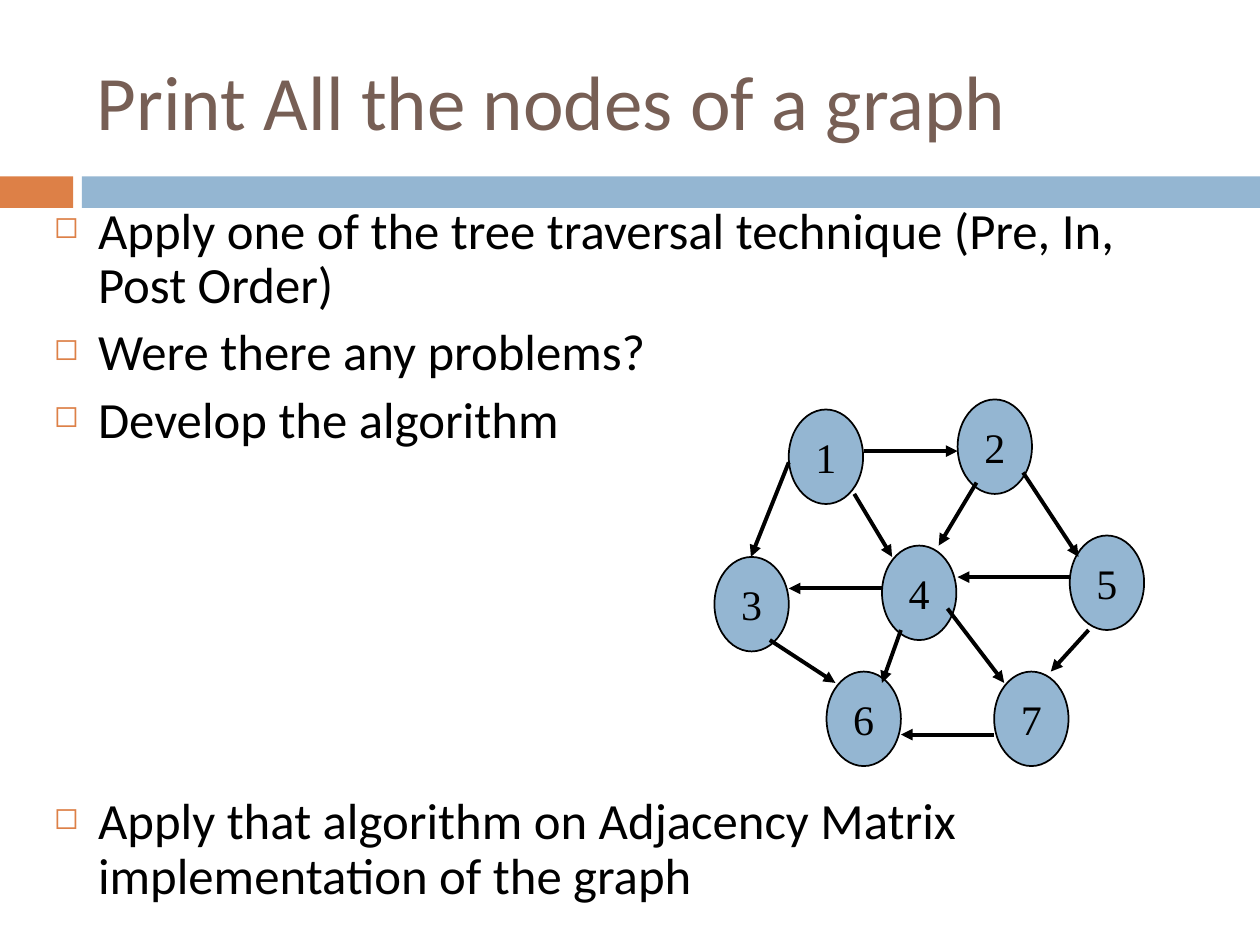
import pptx
import pptx.util
import pptx.dml.color
import pptx.enum.shapes
import pptx.enum.text
import pptx.oxml
import pptx.oxml.ns
import lxml.etree

Inches = pptx.util.Inches
Pt = pptx.util.Pt
COLORS = {"orange": "DD8047", "blue": "94B6D2", "brown": "775F55", "black": "000000"}


def color(name):
    return pptx.dml.color.RGBColor.from_string(COLORS[name])


def add_filled_shape(kind, left, top, width, height, fill):
    shape = slide.shapes.add_shape(kind, Inches(left), Inches(top), Inches(width), Inches(height))
    shape.shadow.inherit = False
    shape.fill.solid()
    shape.fill.fore_color.rgb = color(fill)
    shape.line.fill.background()
    return shape


presentation = pptx.Presentation()
presentation.slide_width = Inches(10)
presentation.slide_height = Inches(7.5)
slide = presentation.slides.add_slide(presentation.slide_layouts[6])

rectangle = pptx.enum.shapes.MSO_SHAPE.RECTANGLE
add_filled_shape(rectangle, 0, 1.4, 0.58, 0.25, "orange")
add_filled_shape(rectangle, 0.65, 1.4, 9.35, 0.25, "blue")

title = slide.shapes.add_textbox(Inches(0.67), Inches(0.25), Inches(8.92), Inches(1.08))
title.text_frame.word_wrap = True
title.text_frame.vertical_anchor = pptx.enum.text.MSO_ANCHOR.MIDDLE
title.text_frame.text = "Print All the nodes of a graph"
title_font = title.text_frame.paragraphs[0].runs[0].font
title_font.name = "Calibri"
title_font.size = Pt(44)
title_font.color.rgb = color("brown")

bullets = [
    ("Apply one of the tree traversal technique (Pre, In, Post Order)", 0),
    ("Were there any problems?", 7),
    ("Develop the algorithm", 7),
    ("Apply that algorithm on Adjacency Matrix implementation of the graph", 198),
]
body = slide.shapes.add_textbox(Inches(0.33), Inches(1.58), Inches(9.34), Inches(5.67))
body.text_frame.word_wrap = True
body.text_frame.text = "\n".join(text for text, space in bullets)
for paragraph, (text, space) in zip(body.text_frame.paragraphs, bullets):
    paragraph.line_spacing = 0.9
    paragraph.space_before = Pt(space)
    properties = paragraph._p.get_or_add_pPr()
    properties.set("marL", str(Inches(0.35)))
    properties.set("indent", str(Inches(-0.35)))
    bullet_color = lxml.etree.SubElement(properties, pptx.oxml.ns.qn("a:buClr"))
    lxml.etree.SubElement(bullet_color, pptx.oxml.ns.qn("a:srgbClr"), val=COLORS["orange"])
    lxml.etree.SubElement(properties, pptx.oxml.ns.qn("a:buSzPct"), val="60000")
    lxml.etree.SubElement(properties, pptx.oxml.ns.qn("a:buChar"), char="◻")
    font = paragraph.runs[0].font
    font.name = "Calibri"
    font.size = Pt(29)
    font.color.rgb = color("black")

nodes = {
    "1": (6.26, 3.25),
    "2": (7.6, 3.17),
    "3": (5.67, 4.42),
    "4": (7, 4.33),
    "5": (8.49, 4.25),
    "6": (6.56, 5.33),
    "7": (7.89, 5.33),
}
for label, (left, top) in nodes.items():
    node = add_filled_shape(pptx.enum.shapes.MSO_SHAPE.OVAL, left, top, 0.59, 0.75, "blue")
    node.line.color.rgb = color("black")
    node.line.width = Pt(1)
    node.text_frame.word_wrap = False
    node.text_frame.vertical_anchor = pptx.enum.text.MSO_ANCHOR.MIDDLE
    node.text_frame.text = label
    paragraph = node.text_frame.paragraphs[0]
    paragraph.alignment = pptx.enum.text.PP_ALIGN.CENTER
    font = paragraph.runs[0].font
    font.name = "Times New Roman"
    font.size = Pt(24)
    font.color.rgb = color("black")

edges = [
    (6.86, 3.58, 7.6, 3.58),
    (6.26, 3.67, 5.96, 4.42),
    (6.78, 3.92, 7.08, 4.42),
    (7.75, 3.83, 7.45, 4.33),
    (8.12, 3.75, 8.56, 4.42),
    (7, 4.67, 6.26, 4.67),
    (8.49, 4.58, 7.6, 4.58),
    (6.11, 5.08, 6.63, 5.42),
    (7.15, 5, 7, 5.42),
    (7.52, 4.83, 7.97, 5.42),
    (8.64, 5, 8.34, 5.33),
    (7.89, 5.83, 7.15, 5.83),
]
for edge in edges:
    arrow = slide.shapes.add_connector(
        pptx.enum.shapes.MSO_CONNECTOR.STRAIGHT, *[Inches(value) for value in edge]
    )
    arrow.line.color.rgb = color("black")
    arrow.line.width = Pt(2.25)
    lxml.etree.SubElement(arrow.line._get_or_add_ln(), pptx.oxml.ns.qn("a:tailEnd"), type="triangle")
    lxml.etree.SubElement(arrow._element.spPr, pptx.oxml.ns.qn("a:effectLst"))

presentation.save("out.pptx")
